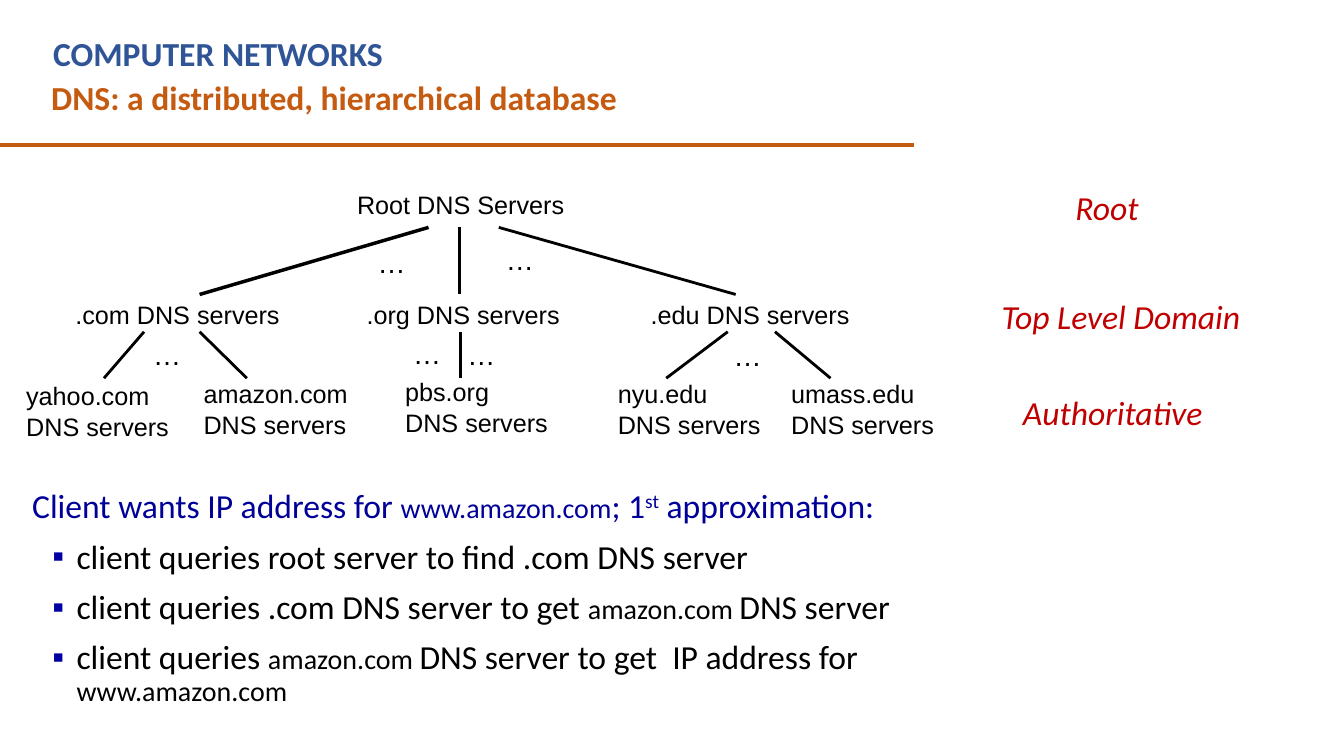
from dataclasses import dataclass

import pptx
import pptx.dml.color
import pptx.enum.shapes
import pptx.enum.text
import pptx.util
from lxml import etree
from pptx.oxml.ns import qn

Cm = pptx.util.Cm
Pt = pptx.util.Pt


@dataclass(frozen=True)
class Theme:
    heading_font: str = "Calibri"
    tree_font: str = "Arial"
    blue: str = "2F5597"
    orange: str = "C55A11"
    black: str = "000000"
    red: str = "C00000"
    navy: str = "000099"
    bullet: str = "0000A3"
    heading_size: int = 24
    address_size: int = 20
    ellipsis_size: int = 20
    server_size: int = 18


THEME = Theme()


def rgb(value):
    return pptx.dml.color.RGBColor.from_string(value)


def style(paragraph, name, size, color, bold=False, italic=False):
    font = paragraph.font
    font.name, font.size = name, Pt(size)
    font.bold, font.italic = bold, italic
    font.color.rgb = rgb(color)


def add_label(slide, text, box, name, size, color, wrap=False, centered=False, **emphasis):
    frame = slide.shapes.add_textbox(*map(Cm, box)).text_frame
    frame.word_wrap = wrap
    frame.text = text
    for paragraph in frame.paragraphs:
        if centered:
            paragraph.alignment = pptx.enum.text.PP_ALIGN.CENTER
        style(paragraph, name, size, color, **emphasis)


def add_line(slide, start, end, color, width):
    line = slide.shapes.add_connector(
        pptx.enum.shapes.MSO_CONNECTOR.STRAIGHT, *map(Cm, start + end))
    line.line.color.rgb = rgb(color)
    line.line.width = Pt(width)
    etree.SubElement(line._element.spPr, qn("a:effectLst"))


def add_header(slide):
    headings = (
        ("COMPUTER NETWORKS", (1.09, 0.71, 20.83, 1.27), THEME.blue),
        ("DNS: a distributed, hierarchical database", (1.04, 1.81, 22.23, 1.27), THEME.orange),
    )
    add_line(slide, (0, 3.66), (23.04, 3.66), THEME.orange, 3)
    for text, box, color in headings:
        add_label(slide, text, box, THEME.heading_font, THEME.heading_size, color,
                  wrap=True, bold=True)


def add_server(slide, text, left, top, width, height=1.02, centered=False):
    add_label(slide, text, (left, top, width, height), THEME.tree_font,
              THEME.server_size, THEME.black, centered=centered)


def add_tree(slide):
    add_server(slide, "Root DNS Servers", 8.74, 4.65, 5.74, centered=True)

    for domain, left, width in ((".com", 1.65, 5.72), (".org", 8.99, 5.44), (".edu", 16.15, 5.56)):
        add_server(slide, f"{domain} DNS servers", left, 7.42, width)

    hosts = (
        ("yahoo.com", 0.41, 9.47),
        ("amazon.com", 4.88, 9.42),
        ("pbs.org", 9.96, 9.37),
        ("nyu.edu", 15.32, 9.42),
        ("umass.edu", 19.69, 9.42),
    )
    for host, left, top in hosts:
        add_server(slide, f"{host}\nDNS servers", left, top, 4.3, 1.78)

    for start, end, width in ((10.8, 5.03, 2.5), (11.58, 11.58, 2), (12.57, 18.54, 2)):
        add_line(slide, (start, 5.73), (end, 7.42), THEME.black, width)
    for start, end in ((3.63, 2.62), (5.03, 6.22), (11.61, 11.61), (18.34, 16.79), (19.53, 20.93)):
        add_line(slide, (start, 8.36), (end, 9.53), THEME.black, 2)

    ellipses = ((9.27, 6.05), (12.5, 5.99), (3.61, 8.38),
                (10.16, 8.36), (11.53, 8.38), (18.24, 8.41))
    for left, top in ellipses:
        add_label(slide, "…", (left, top, 1.22, 1.09), THEME.tree_font,
                  THEME.ellipsis_size, THEME.black)


def add_tiers(slide):
    tiers = (
        ("Root", 26.85, 4.58, 2.13),
        ("Top Level Domain", 24.99, 7.34, 6.63),
        ("Authoritative", 25.53, 9.75, 5.11),
    )
    for tier, left, top, width in tiers:
        add_label(slide, tier, (left, top, width, 1.27), THEME.heading_font,
                  THEME.heading_size, THEME.red, italic=True)


def set_indent(paragraph, margin, hanging=0, bullet=None):
    properties = paragraph._p.get_or_add_pPr()
    properties.set("marL", str(Cm(margin)))
    properties.set("indent", str(-Cm(hanging)))
    if bullet:
        color = etree.SubElement(properties, qn("a:buClr"))
        etree.SubElement(color, qn("a:srgbClr"), val=THEME.bullet)
        etree.SubElement(properties, qn("a:buFont"), typeface=THEME.tree_font)
        etree.SubElement(properties, qn("a:buChar"), char=bullet)


def add_runs(paragraph, parts):
    for text, kind in parts:
        run = paragraph.add_run()
        run.text = text
        if kind == "address":
            run.font.size = Pt(THEME.address_size)
        elif kind == "superscript":
            run.font._element.set("baseline", "30000")


def add_lookup_steps(slide):
    question = (("Client wants IP address for ", ""), ("www.amazon.com", "address"),
                ("; 1", ""), ("st", "superscript"), (" approximation:", ""))
    steps = (
        (("client queries root server to find .com DNS server", ""),),
        (("client queries .com DNS server to get ", ""), ("amazon.com ", "address"),
         ("DNS server", "")),
        (("client queries ", ""), ("amazon.com ", "address"),
         ("DNS server to get  IP address for ", ""), ("www.amazon.com", "address")),
    )
    frame = slide.shapes.add_textbox(*map(Cm, (0.41, 12.22, 23.37, 5.92))).text_frame
    frame.word_wrap = True

    lead = frame.paragraphs[0]
    lead.line_spacing = 0.9
    set_indent(lead, 0.15)
    style(lead, THEME.heading_font, THEME.heading_size, THEME.navy)
    add_runs(lead, question)

    for parts in steps:
        step = frame.add_paragraph()
        step.line_spacing = 0.9
        step.space_before = Pt(10)
        set_indent(step, 1.27, 0.61, "▪")
        style(step, THEME.heading_font, THEME.heading_size, THEME.black)
        add_runs(step, parts)


def main():
    deck = pptx.Presentation()
    deck.slide_width, deck.slide_height = Cm(33.87), Cm(19.05)
    slide = deck.slides.add_slide(deck.slide_layouts[6])
    add_header(slide)
    add_tree(slide)
    add_tiers(slide)
    add_lookup_steps(slide)
    deck.save("out.pptx")


if __name__ == "__main__":
    main()
